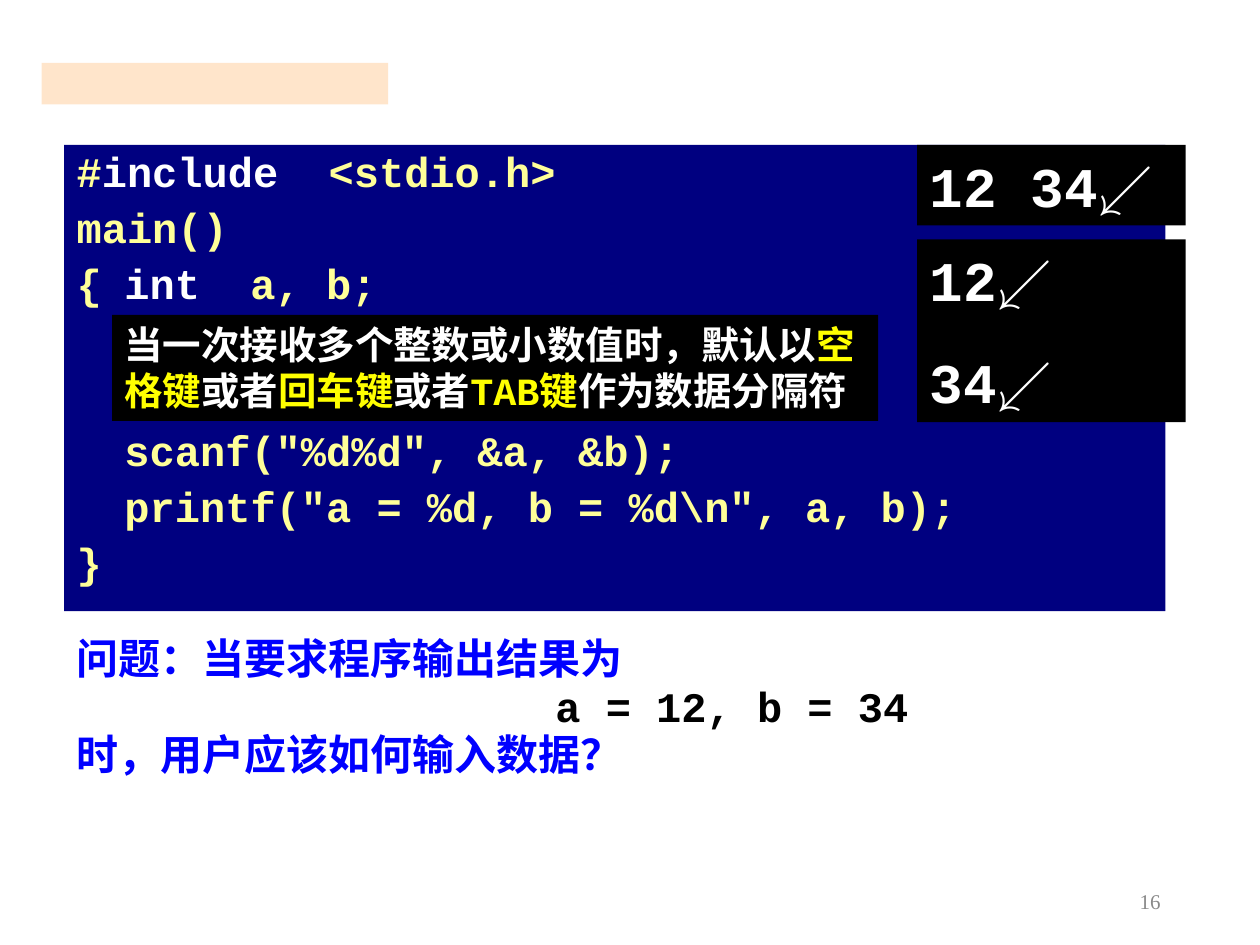
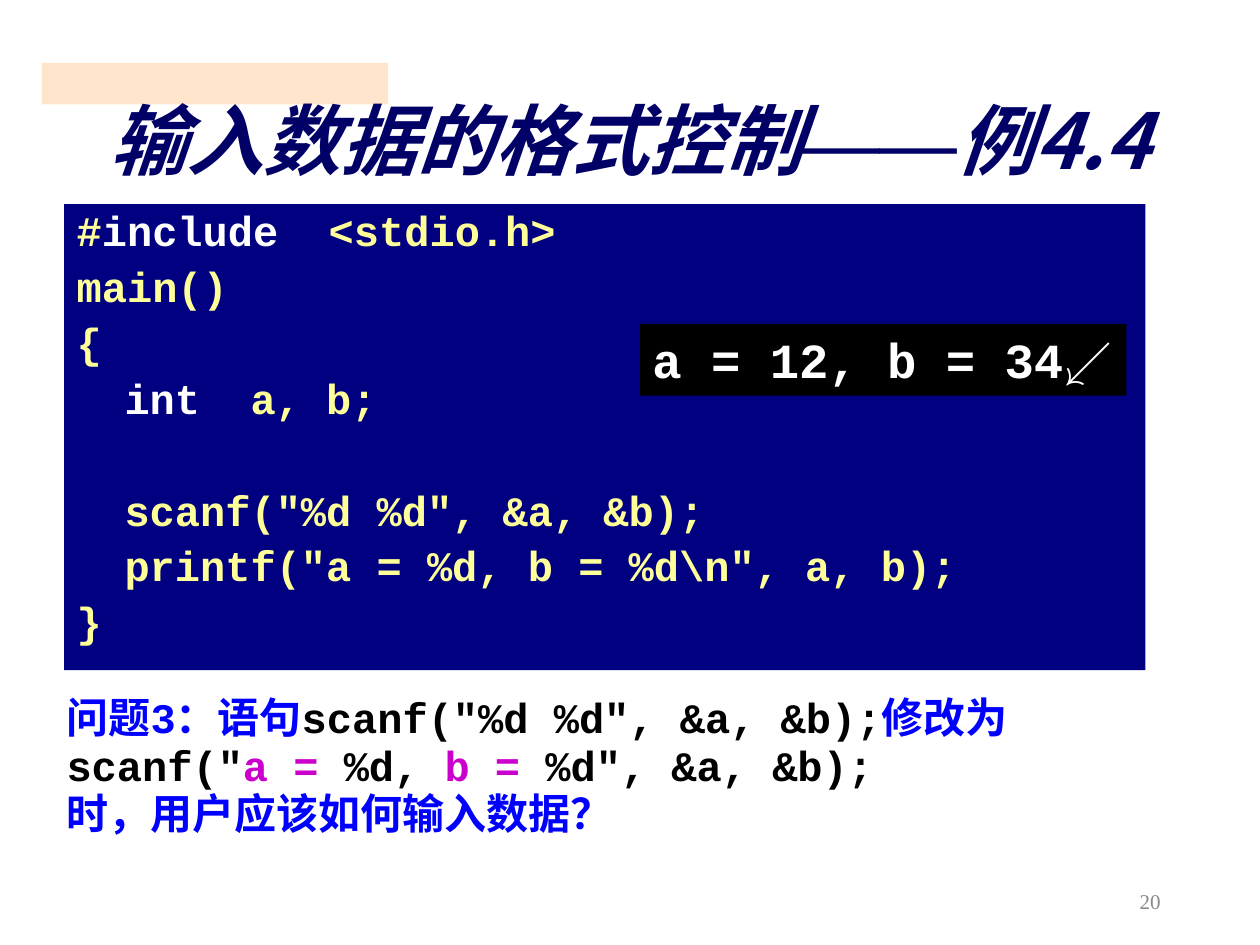
from lxml import etree
from pptx import Presentation
from pptx.dml.color import RGBColor
from pptx.enum import shapes, text
from pptx.oxml import ns
from pptx.util import Inches, Pt

CODE_FONT, TITLE_FONT, SERIF_FONT = "Courier New", "Noto Sans CJK SC", "Times New Roman"
NAVY, BLACK, WHITE = "000080", "000000", "FFFFFF"
CODE, BLUE, YELLOW, MAGENTA = "FFFF99", "0000FF", "FFFF00", "CC00CC"
PEACH, TITLE_INK, GREY = "FFCC99", "000066", "898989"
TITLE_ONLY, BLANK = 5, 6
CODE_ROW = 32  # points from one code line to the next
CODE_INDENT = 0.38

HEADER = [[("#", CODE), ("include", WHITE), ("  <stdio.h>", CODE)],
          [("main()", CODE)]]
PRINT_LINES = [[("\tprintf(\"a = %d, b = %d\\n\", a, b);", CODE)],
               [("}", CODE)]]
HOW_TO_ENTER = [("时，用户应该如何输入数据？", BLUE)]


def color(hex_code):
    return RGBColor.from_string(hex_code)


def add_xml(parent, tag, **attributes):
    return etree.SubElement(parent, ns.qn(tag), attributes)


def style_span(span, size, ink, font=CODE_FONT, bold=True):
    """Format a run, using the same typeface for Latin and Chinese characters."""
    span.font.size = Pt(size)
    span.font.bold = bold
    span.font.color.rgb = color(ink)
    span.font.name = font
    add_xml(span.font._element, "a:ea", typeface=font)


def write_lines(frame, lines, size, line_spacing=1.0, gap=0):
    """Write one paragraph per line, each line a list of (wording, colour)."""
    frame.word_wrap = True
    for index, line in enumerate(lines):
        para = frame.add_paragraph() if index else frame.paragraphs[0]
        para.alignment = text.PP_ALIGN.LEFT
        para.line_spacing = line_spacing
        para.space_before = Pt(gap if index else 0)
        for wording, ink in line:
            span = para.add_run()
            span.text = wording
            style_span(span, size, ink)


def add_panel(page, box, fill):
    panel = page.shapes.add_shape(shapes.MSO_SHAPE.RECTANGLE, *map(Inches, box))
    panel.shadow.inherit = False
    panel.fill.solid()
    panel.fill.fore_color.rgb = color(fill)
    panel.line.fill.background()
    panel.text_frame.vertical_anchor = text.MSO_ANCHOR.TOP
    return panel


def add_master_band(deck, page):
    """Draw the pale band and move it to the master, so every page shows it."""
    band = add_panel(page, (0.33, 0.5, 2.75, 0.33), PEACH)
    fill = band.element.spPr.find(ns.qn("a:solidFill"))
    add_xml(fill[0], "a:alpha", val="50000")
    deck.slide_master.shapes.element.append(band.element)


def add_code(page, box, lines, gap_before, skipped_rows):
    """Show a program, leaving free rows before line number gap_before."""
    frame = add_panel(page, box, NAVY).text_frame
    write_lines(frame, lines, 24, 0.9, 6)
    for para in frame.paragraphs:
        layout = para._p.get_or_add_pPr()
        layout.set("marL", str(Inches(CODE_INDENT)))
        layout.set("indent", str(-Inches(CODE_INDENT)))
    frame.paragraphs[gap_before].space_before = Pt(6 + skipped_rows * CODE_ROW)


def add_console(page, box, lines, size, gap=0):
    frame = add_panel(page, box, BLACK).text_frame
    write_lines(frame, [[(line, WHITE)] for line in lines], size, gap=gap)


def add_question(page, box, lines):
    frame = page.shapes.add_textbox(*map(Inches, box)).text_frame
    write_lines(frame, lines, 24, 0.95)
    return frame


def add_callout(page, box, spans):
    write_lines(add_panel(page, box, BLACK).text_frame, [spans], 22)


def add_page_number(page, number):
    box = page.shapes.add_textbox(Inches(7.06), Inches(6.95), Inches(2.25), Inches(0.4))
    frame = box.text_frame
    frame.text = str(number)
    frame.word_wrap = True
    frame.vertical_anchor = text.MSO_ANCHOR.MIDDLE
    para = frame.paragraphs[0]
    para.alignment = text.PP_ALIGN.RIGHT
    style_span(para.runs[0], 12, GREY, SERIF_FONT, bold=False)


def set_title(page, box, parts):
    """Place the title; parts are (wording, typeface)."""
    title = page.shapes.title
    title.left, title.top, title.width, title.height = map(Inches, box)
    frame = title.text_frame
    frame.auto_size = text.MSO_AUTO_SIZE.NONE
    frame.word_wrap = True
    frame.vertical_anchor = text.MSO_ANCHOR.MIDDLE
    para = frame.paragraphs[0]
    para.alignment = text.PP_ALIGN.CENTER
    para.line_spacing = 0.85
    for wording, font in parts:
        span = para.add_run()
        span.text = wording
        style_span(span, 44, TITLE_INK, font)
        span.font.italic = True
        effects = etree.Element(ns.qn("a:effectLst"))
        shadow = add_xml(effects, "a:outerShdw", dist="35921", dir="2700000")
        add_xml(shadow, "a:srgbClr", val=BLACK)
        span.font._element.find(ns.qn("a:solidFill")).addnext(effects)


def build_separator_page(deck):
    page = deck.slides.add_slide(deck.slide_layouts[BLANK])
    add_master_band(deck, page)
    program = HEADER + [
        [("{\t", CODE), ("int", WHITE), ("  a, b;", CODE)],
        [("\tscanf(\"%d%d\", &a, &b);", CODE)],
    ] + PRINT_LINES
    add_code(page, (0.51, 1.15, 8.74, 3.7), program, gap_before=3, skipped_rows=2)
    question = add_question(page, (0.51, 5, 8.66, 1.58), [
        [("问题：当要求程序输出结果为", BLUE)],
        [("a = 12, b = 34", BLACK)],
        HOW_TO_ENTER,
    ])
    question.paragraphs[1]._p.get_or_add_pPr().set("marL", str(Inches(3.8)))
    add_console(page, (7.28, 1.15, 2.13, 0.64), ["12 34↙"], 32)
    add_console(page, (7.28, 1.9, 2.13, 1.45), ["12↙", "34↙"], 32, gap=20)
    add_callout(page, (0.89, 2.5, 6.08, 0.84), [
        ("当一次接收多个整数或小数值时，默认以", WHITE), ("空格键", YELLOW),
        ("或者", WHITE), ("回车键", YELLOW), ("或者", WHITE),
        ("TAB键", YELLOW), ("作为数据分隔符", WHITE),
    ])
    add_page_number(page, 16)


def build_format_page(deck):
    page = deck.slides.add_slide(deck.slide_layouts[TITLE_ONLY])
    set_title(page, (0.59, 0.7, 8.82, 0.92), [
        ("输入数据的格式控制", TITLE_FONT), ("——", SERIF_FONT), ("例4.4", TITLE_FONT),
    ])
    program = HEADER + [
        [("{", CODE)],
        [("\t", CODE), ("int", WHITE), ("  a, b;", CODE)],
        [("\tscanf(\"%d %d\", &a, &b);", CODE)],
    ] + PRINT_LINES
    add_code(page, (0.51, 1.62, 8.58, 3.7), program, gap_before=4, skipped_rows=1)
    add_question(page, (0.43, 5.47, 8.74, 1.58), [
        [("问题3：语句", BLUE), ("scanf(\"%d %d\", &a, &b);", BLACK), ("修改为", BLUE),
         ("scanf(\"", BLACK), ("a =", MAGENTA), (" %d, ", BLACK), ("b =", MAGENTA),
         (" %d\", &a, &b);", BLACK)],
        HOW_TO_ENTER,
    ])
    add_console(page, (5.08, 2.57, 3.86, 0.57), ["a = 12, b = 34↙"], 28)
    add_page_number(page, 20)


def main():
    deck = Presentation()
    deck.slide_width, deck.slide_height = Inches(10), Inches(7.5)
    build_separator_page(deck)
    build_format_page(deck)
    deck.save("out.pptx")


if __name__ == "__main__":
    main()
